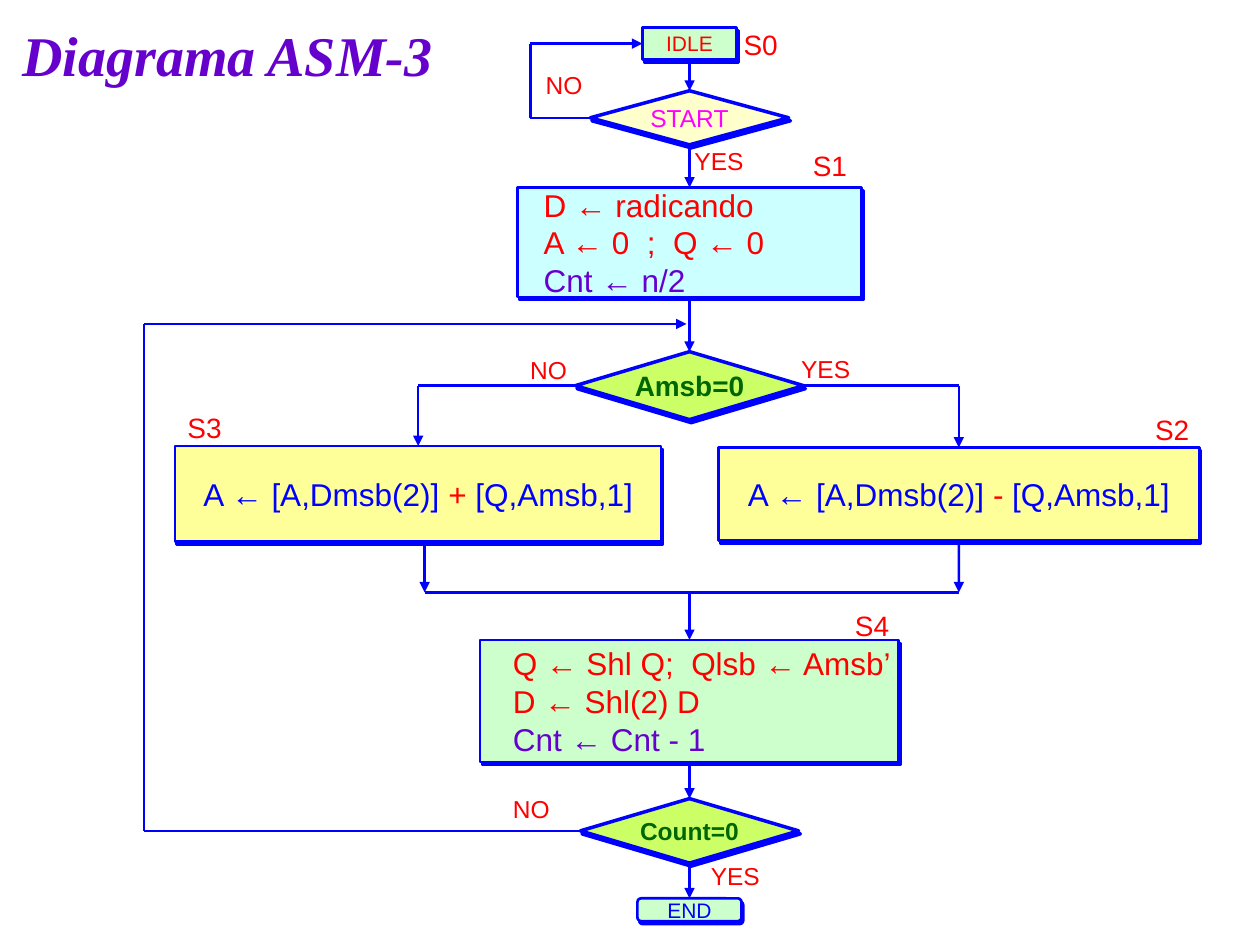
from lxml import etree
from pptx import Presentation
from pptx.dml.color import RGBColor
from pptx.enum.shapes import MSO_CONNECTOR, MSO_SHAPE
from pptx.enum.text import MSO_ANCHOR, PP_ALIGN
from pptx.oxml.ns import qn
from pptx.util import Cm, Pt

RECT, ROUNDED = MSO_SHAPE.RECTANGLE, MSO_SHAPE.ROUNDED_RECTANGLE
DIAMOND, DECISION = MSO_SHAPE.DIAMOND, MSO_SHAPE.FLOWCHART_DECISION
STRAIGHT = MSO_CONNECTOR.STRAIGHT
MIDDLE, LEFT, CENTER = MSO_ANCHOR.MIDDLE, PP_ALIGN.LEFT, PP_ALIGN.CENTER
TOP, WEST, BOTTOM, EAST = range(4)

BLUE, RED, PURPLE, MAGENTA, DARK_GREEN = "0000FF", "FF0000", "6600CC", "FF00FF", "006600"
MINT, LIME, CREAM, YELLOW, CYAN = "CCFFCC", "CCFF66", "FFFFCC", "FFFF99", "CCFFFF"


def rgb(value):
    return RGBColor.from_string(value)


def write(shape, lines, size, align=CENTER, bold=False, indent=0):
    """Each line is a list of (text, colour) spans."""
    frame = shape.text_frame
    frame.word_wrap = True
    frame.vertical_anchor = MIDDLE
    frame.margin_left = frame.margin_right = frame.margin_top = frame.margin_bottom = 0
    for number, spans in enumerate(lines):
        para = frame.add_paragraph() if number else frame.paragraphs[0]
        para.alignment = align
        if indent:
            properties = para._p.get_or_add_pPr()
            properties.set("marL", str(Cm(indent)))
            properties.set("indent", "0")
        para.font.name, para.font.size, para.font.bold = "Arial", Pt(size), bold
        for text, color in spans:
            span = para.add_run()
            span.text = text
            span.font.color.rgb = rgb(color)


def add_node(page, kind, box, fill, lines, size, border=1.5, **style):
    shape = page.shapes.add_shape(kind, *map(Cm, box))
    shape.fill.solid()
    shape.fill.fore_color.rgb = rgb(fill)
    shape.line.color.rgb = rgb(BLUE)
    shape.line.width = Pt(border)
    # Hard blue shadow
    shape.shadow.inherit = False
    effects = shape._element.spPr.find(qn("a:effectLst"))
    shadow = etree.SubElement(effects, qn("a:outerShdw"), blurRad="0",
                              dist=str(Pt(2)), dir=str(60 * 60000), algn="ctr", rotWithShape="0")
    etree.SubElement(shadow, qn("a:srgbClr"), val=BLUE)
    write(shape, lines, size, **style)
    return shape


def add_label(page, text, x, y, size=14, align=LEFT):
    box = page.shapes.add_textbox(Cm(x), Cm(y), Cm(1.2), Cm(size * 0.042))
    write(box, [[(text, RED)]], size, align)


def add_flow(page, points, begin=None, end=None, arrow=True):
    """Draw straight segments through the points; begin and end are (shape, side)."""
    last = len(points) - 2
    for number, (start, stop) in enumerate(zip(points, points[1:])):
        line = page.shapes.add_connector(STRAIGHT, *map(Cm, start + stop))
        line.line.color.rgb = rgb(BLUE)
        line.line.width = Pt(1.5)
        if begin and number == 0:
            line.begin_connect(*begin)
        if end and number == last:
            line.end_connect(*end)
        if arrow and number == last:
            etree.SubElement(line.line._get_or_add_ln(), qn("a:tailEnd"), type="triangle")
        etree.SubElement(line._element.spPr, qn("a:effectLst"))


def add_title(page, box):
    title = page.shapes.add_textbox(*map(Cm, box))
    title.text_frame.word_wrap = True
    para = title.text_frame.paragraphs[0]
    para.text = "Diagrama ASM-3"
    font = para.font
    font.name, font.size, font.bold, font.italic = "Times New Roman", Pt(32), True, True
    font.color.rgb = rgb(PURPLE)


def add_start(page, box):
    left, top, width, height = box
    axis = left + width / 2
    idle = add_node(page, RECT, (axis - 0.95, top, 1.9, 0.64), MINT, [[("IDLE", RED)]], 12)
    start = add_node(page, DECISION, (axis - 2, top + 1.27, 4, 1.09), CREAM,
                     [[("START", MAGENTA)]], 14, border=2)
    load = add_node(page, RECT, (left, top + 3.22, width, height - 3.22), CYAN,
                    [[("D ← radicando", RED)], [("A ← 0  ;  Q ← 0", RED)],
                     [("Cnt ← n/2", PURPLE)]], 18, align=LEFT, indent=0.53)
    add_flow(page, [(axis, top + 0.64), (axis, top + 1.27)], (idle, BOTTOM), (start, TOP))
    add_flow(page, [(axis, top + 2.36), (axis, top + 3.22)], (start, BOTTOM), (load, TOP))
    # Wait loop
    wait, idle_y, start_y = left + 0.26, top + 0.32, top + 1.815
    add_flow(page, [(axis - 2, start_y), (wait, start_y), (wait, idle_y), (axis - 0.95, idle_y)],
             (start, WEST), (idle, WEST))
    add_label(page, "NO", left + 0.57, top + 0.86)
    add_label(page, "YES", left + 3.57, top + 2.39)
    add_label(page, "S0", left + 4.56, top, 16)
    add_label(page, "S1", left + 5.7, top + 2.44, 16, CENTER)
    return load


def add_branches(page, box):
    left, top, width, height = box
    axis, middle, merge = left + width / 2, top + 0.685, top + height
    test = add_node(page, DIAMOND, (axis - 2.3, top, 4.6, 1.37), LIME,
                    [[("Amsb=0", DARK_GREEN)]], 16, border=2, bold=True)
    # Mirrored operations: x, y, width, height, sign, test side, exit x
    operations = (
        (left, top + 1.9, 9.8, 1.93, "+", WEST, left + 5.03),
        (left + 10.95, top + 1.93, 9.7, 1.88, "-", EAST, left + 15.8),
    )
    for x, y, wide, high, sign, side, leave in operations:
        step = add_node(page, RECT, (x, y, wide, high), YELLOW,
                        [[("A ← [A,Dmsb(2)] ", BLUE), (sign, RED), (" [Q,Amsb,1]", BLUE)]], 18)
        center = x + wide / 2
        add_flow(page, [(axis, middle), (center, middle), (center, y)], (test, side), (step, TOP))
        joined = (step, BOTTOM) if abs(leave - center) < 0.01 else None
        add_flow(page, [(leave, y + high), (leave, merge)], joined)
    add_flow(page, [(left + 5.03, merge), (left + 15.8, merge)], arrow=False)
    add_label(page, "NO", left + 7.16, top + 0.07)
    add_label(page, "YES", left + 12.62, top + 0.05)
    add_label(page, "S3", left + 0.25, top + 1.19, 16)
    add_label(page, "S2", left + 19.5, top + 1.22, 16, CENTER)
    return test


def add_finish(page, box):
    left, top, width, height = box
    axis = left + width / 2
    shift = add_node(page, RECT, (left, top, width, 2.46), MINT,
                     [[("Q ← Shl Q;  Qlsb ← Amsb’", RED)], [("D ← Shl(2) D", RED)],
                      [("Cnt ← Cnt - 1", PURPLE)]], 18, align=LEFT, indent=0.66)
    count = add_node(page, DECISION, (axis - 2.2, top + 3.2, 4.4, 1.3), LIME,
                     [[("Count=0", DARK_GREEN)]], 14, border=2, bold=True)
    end = add_node(page, ROUNDED, (axis - 1.05, top + height - 0.46, 2.1, 0.46), MINT,
                   [[("END", BLUE)]], 12)
    add_flow(page, [(axis, top + 2.46), (axis, top + 3.2)], (shift, BOTTOM), (count, TOP))
    add_flow(page, [(axis, top + 4.5), (axis, top + height - 0.46)], (count, BOTTOM), (end, TOP))
    add_label(page, "S4", left + 7.3, top - 0.63, 16, CENTER)
    add_label(page, "NO", left + 0.66, top + 3.1)
    add_label(page, "YES", left + 4.65, top + 4.45)
    return shift, count


def main():
    deck = Presentation()
    deck.slide_width, deck.slide_height = Cm(25.4), Cm(19.05)
    page = deck.slides.add_slide(deck.slide_layouts[6])
    axis = 13.9

    add_title(page, (0.2, 0.28, 11.8, 1.63))
    load = add_start(page, (axis - 3.47, 0.56, 6.94, 5.43))
    test = add_branches(page, (axis - 10.37, 7.09, 20.74, 4.85))
    shift, count = add_finish(page, (axis - 4.22, 12.9, 8.44, 5.67))

    # Links between regions
    add_flow(page, [(axis, 5.99), (axis, 7.09)], (load, BOTTOM), (test, TOP))
    add_flow(page, [(axis, 11.94), (axis, 12.9)], end=(shift, TOP))
    add_flow(page, [(axis - 2.2, 16.75), (2.9, 16.75), (2.9, 6.53), (axis - 0.06, 6.53)],
             (count, WEST))
    deck.save("out.pptx")


if __name__ == "__main__":
    main()
